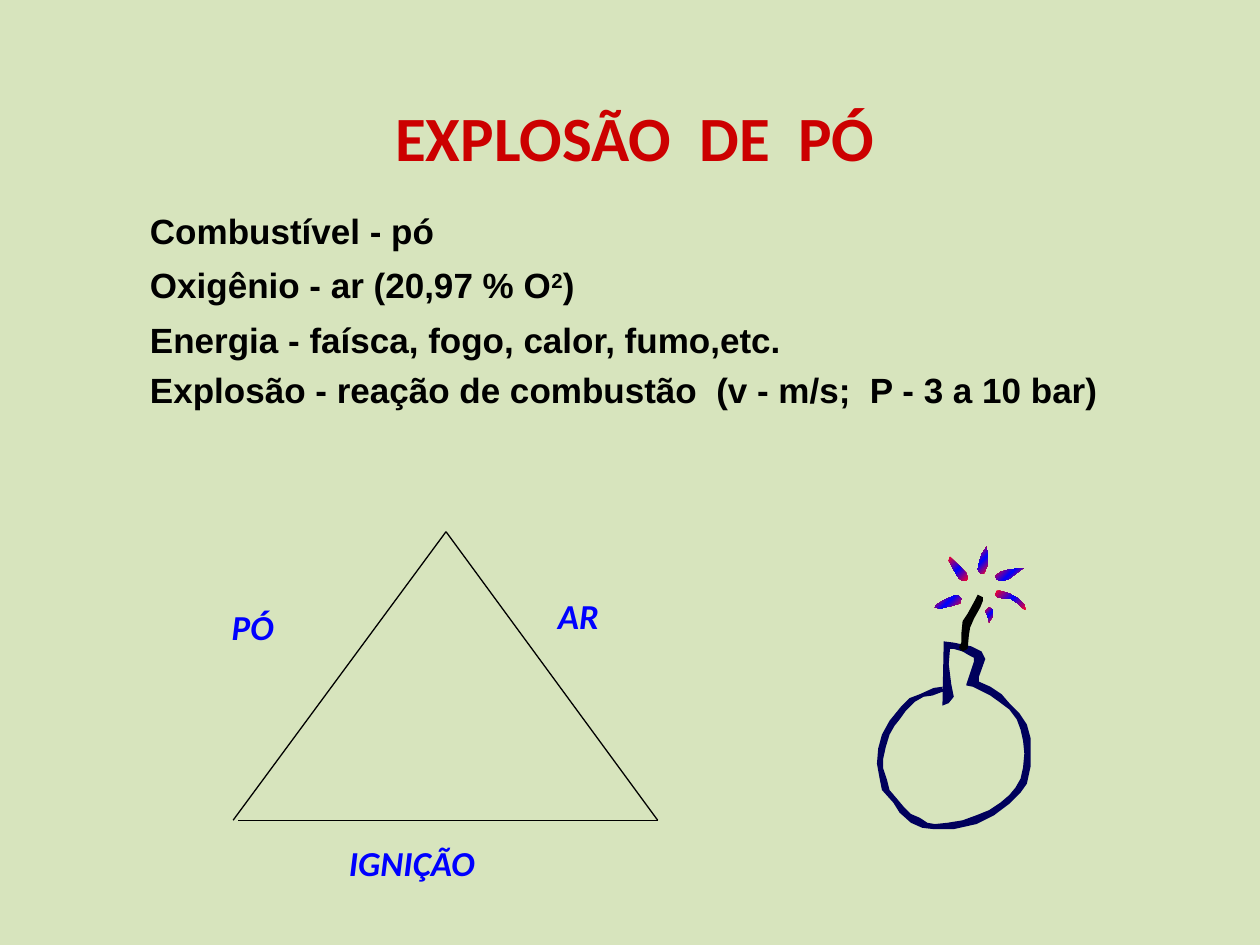
from copy import deepcopy

from lxml import etree
from pptx import Presentation
from pptx.dml.color import RGBColor
from pptx.enum import shapes, text
from pptx.oxml.ns import qn
from pptx.util import Inches, Pt

BACKGROUND, RED, BLUE, BLACK, NAVY = "D7E4BD", "CC0000", "0000FF", "000000", "00005C"
SPARK_COLORS = ("FC0128", BLUE, "FC0128")

FACTS = [
    (["Combustível - pó"], 0),
    (["Oxigênio - ar (20,97 % O", "2", ")"], 7),
    (["Energia - faísca, fogo, calor, fumo,etc."], 7),
    (["Explosão - reação de combustão  (v - m/s;  P - 3 a 10 bar)"], 4.6),
]

BODY = [
    (52, 126), (53, 75), (61, 76), (75, 79), (83, 83), (86, 89), (81, 103), (81, 107),
    (90, 111), (99, 117), (105, 124), (113, 132), (119, 141), (122, 152), (122, 161),
    (122, 174), (119, 188), (114, 195), (105, 204), (93, 213), (79, 220), (61, 224),
    (45, 224), (36, 223), (27, 219), (18, 211), (13, 203), (4, 193), (2, 183), (0, 172),
    (1, 160), (4, 149), (10, 138), (19, 127), (26, 120), (34, 117), (45, 112), (52, 111),
    (52, 115), (44, 118), (37, 119), (30, 123), (23, 130), (18, 137), (14, 142), (10, 149),
    (7, 159), (5, 168), (5, 176), (8, 185), (10, 193), (16, 200), (21, 206), (27, 212),
    (34, 215), (40, 219), (46, 220), (56, 219), (68, 217), (79, 213), (89, 209), (98, 203),
    (105, 197), (110, 191), (114, 184), (116, 175), (117, 164), (116, 154), (114, 145),
    (111, 137), (105, 129), (97, 123), (90, 118), (82, 114), (76, 111), (71, 110),
    (71, 109), (77, 91), (77, 88), (73, 86), (68, 83), (61, 81), (58, 81), (57, 93),
    (59, 109), (61, 119), (57, 124),
]
FUSE = [
    (67, 76), (67, 69), (68, 59), (72, 53), (78, 42), (80, 38), (84, 40), (84, 43),
    (82, 48), (77, 57), (74, 64), (73, 70), (72, 81), (68, 83), (65, 80),
]
SPARKS = [
    [(46, 48), (47, 46), (54, 42), (61, 39), (65, 39), (67, 41), (66, 45), (59, 47), (50, 49)],
    [(58, 8), (57, 11), (62, 20), (65, 25), (68, 27), (71, 27), (72, 25), (71, 21), (63, 13)],
    [(87, 0), (83, 6), (81, 13), (80, 18), (82, 21), (85, 21), (86, 19), (88, 14), (88, 7)],
    [(116, 17), (105, 18), (98, 20), (94, 23), (95, 26), (98, 27), (104, 26)],
    [(117, 46), (112, 41), (105, 37), (98, 35), (95, 35), (94, 38), (96, 40), (101, 41),
     (106, 41), (112, 45), (116, 49), (118, 50)],
    [(89, 60), (92, 55), (92, 50), (89, 48), (86, 51), (88, 55)],
]


def rgb(color):
    """Turn a hex string into a colour."""
    return RGBColor.from_string(color)


def add_run(paragraph, content, size=20, font="Calibri", color=BLUE, italic=False, baseline=None):
    """Add a bold run of text with its format."""
    run = paragraph.add_run()
    run.text = content
    run.font.size, run.font.name = Pt(size), font
    run.font.bold, run.font.italic = True, italic
    run.font.color.rgb = rgb(color)
    if baseline:
        run.font._element.set("baseline", str(baseline))


def place(shape, left, top, width, height):
    """Move and size a shape, in inches."""
    shape.left, shape.top = Inches(left), Inches(top)
    shape.width, shape.height = Inches(width), Inches(height)


def prepare_frame(shape, inset):
    """Wrap and centre the text vertically with equal insets."""
    frame = shape.text_frame
    frame.word_wrap = True
    frame.vertical_anchor = text.MSO_ANCHOR.MIDDLE
    frame.margin_left = frame.margin_right = Inches(inset)
    frame.margin_top = frame.margin_bottom = Inches(inset)
    return frame


def add_title(slide, box):
    """Format the title placeholder."""
    place(slide.shapes.title, *box)
    paragraph = prepare_frame(slide.shapes.title, 0.04).paragraphs[0]
    paragraph.alignment = text.PP_ALIGN.CENTER
    add_run(paragraph, "EXPLOSÃO  DE  PÓ", size=36, color=RED)


def add_facts(slide, box):
    """List the conditions of an explosion."""
    frame = prepare_frame(slide.shapes.add_textbox(*map(Inches, box)), 0.04)
    for index, (parts, space) in enumerate(FACTS):
        paragraph = frame.add_paragraph() if index else frame.paragraphs[0]
        paragraph.alignment = text.PP_ALIGN.JUSTIFY
        paragraph.space_before = Pt(space)
        for part in parts:
            add_run(paragraph, part, font="Arial", color=BLACK,
                    baseline=30000 if part == "2" else None)


def add_line(slide, start, end):
    """Draw a thin black line between two points."""
    line = slide.shapes.add_connector(shapes.MSO_CONNECTOR.STRAIGHT, *map(Inches, start + end))
    line.line.color.rgb = rgb(BLACK)
    line.line.width = Pt(0.75)
    etree.SubElement(line._element.spPr, qn("a:effectLst"))


def add_triangle(slide, left, top, width, height):
    """Draw the fire triangle with a label on each side."""
    apex = (left + 1.69, top)
    bottom = top + height
    right_corner = (left + width, bottom)
    add_line(slide, (left, bottom), apex)
    add_line(slide, apex, right_corner)
    add_line(slide, (left + 0.04, bottom), right_corner)
    labels = [
        ("PÓ", -0.11, 0.54, 0.91, 0.53),
        ("AR", 2.48, 0.45, 0.91, 0.43),
        ("IGNIÇÃO", 0.82, 2.41, 1.87, 0.53),
    ]
    for label, x, y, label_width, label_height in labels:
        shape = slide.shapes.add_textbox(
            *map(Inches, (left + x, top + y, label_width, label_height)))
        shape.text_frame.word_wrap = True
        add_run(shape.text_frame.paragraphs[0], label, italic=True)


def add_outline(group, left, top, points):
    """Draw a closed outline from points in hundredths of an inch."""
    builder = group.shapes.build_freeform(*points[0], scale=Inches(0.01))
    builder.add_line_segments(points[1:], close=True)
    shape = builder.convert_to_shape(Inches(left), Inches(top))
    shape.shadow.inherit = False
    shape.line.fill.background()
    return shape


def fill_spark(shape):
    """Give a spark its diagonal three-stop gradient."""
    shape.fill.gradient()
    stop_list = shape._element.xpath(".//a:gsLst")[0]
    stop_list.append(deepcopy(stop_list[0]))
    for index, stop in enumerate(shape.fill.gradient_stops):
        stop.position = index / 2
        stop.color.rgb = rgb(SPARK_COLORS[index])
    shape.fill.gradient_angle = 315


def add_bomb(slide, left, top):
    """Draw the bomb with its fuse and sparks."""
    group = slide.shapes.add_group_shape()
    for points, color in ((BODY, NAVY), (FUSE, BLACK)):
        shape = add_outline(group, left, top, points)
        shape.fill.solid()
        shape.fill.fore_color.rgb = rgb(color)
    for points in SPARKS:
        fill_spark(add_outline(group, left, top, points))


def main():
    """Build the slide and save it."""
    presentation = Presentation()
    presentation.slide_width, presentation.slide_height = Inches(10), Inches(7.5)
    slide = presentation.slides.add_slide(presentation.slide_layouts[5])
    slide.background.fill.solid()
    slide.background.fill.fore_color.rgb = rgb(BACKGROUND)
    add_title(slide, (1.78, 0.75, 6.52, 0.67))
    add_facts(slide, (1.15, 1.5, 8.15, 1.92))
    add_bomb(slide, 6.96, 4.34)
    add_triangle(slide, 1.85, 4.22, 3.37, 2.29)
    presentation.save("out.pptx")


if __name__ == "__main__":
    main()
